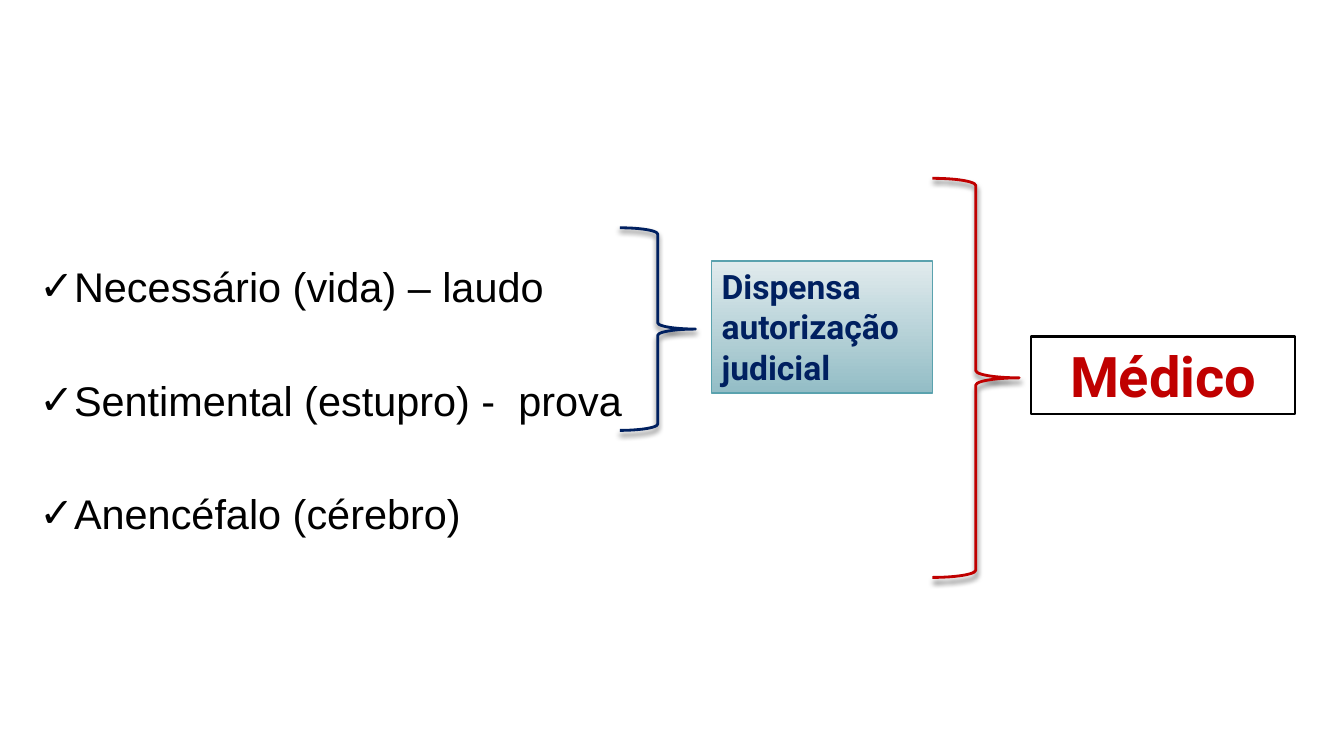
from dataclasses import dataclass

import pptx
import pptx.dml.color
import pptx.enum.shapes
import pptx.enum.text
import pptx.oxml
import pptx.oxml.ns
import pptx.util
from lxml import etree

Pt = pptx.util.Pt
RGB = pptx.dml.color.RGBColor.from_string
SHAPE = pptx.enum.shapes.MSO_SHAPE
ALIGN = pptx.enum.text.PP_ALIGN
ANCHOR = pptx.enum.text.MSO_ANCHOR
FIT = pptx.enum.text.MSO_AUTO_SIZE


@dataclass(frozen=True)
class Theme:
    navy: str = "002060"
    red: str = "C00000"
    black: str = "000000"
    white: str = "FFFFFF"
    teal: str = "5AA2AE"
    fade: tuple = ("E1EBED", "93BDC6")
    plain: str = "Arial"
    strong: str = "Roboto"
    list_size: float = 29.6
    note_size: float = 24
    role_size: float = 40


THEME = Theme()


def write(frame, lines, font, size, color, bold=False, align=ALIGN.LEFT,
          anchor=ANCHOR.TOP, leading=None, before=0, bullet=None, indent=0):
    """Fill a text frame with one paragraph per line."""
    frame.word_wrap = True
    frame.auto_size = FIT.NONE
    frame.vertical_anchor = anchor
    for i, line in enumerate(lines):
        para = frame.add_paragraph() if i else frame.paragraphs[0]
        para.alignment = align
        para.space_before = Pt(before)
        if leading:
            para.line_spacing = leading
        run = para.add_run()
        run.text = line
        run.font.name = font
        run.font.size = Pt(size)
        run.font.bold = bold
        run.font.color.rgb = RGB(color)
        if bullet:
            props = para._p.get_or_add_pPr()
            props.set("marL", str(Pt(indent)))
            props.set("indent", str(-Pt(indent)))
            mark = etree.SubElement(props, pptx.oxml.ns.qn("a:buChar"))
            mark.set("char", bullet)


def draw(slide, kind, box, color, width):
    """Add an outlined preset shape without a shadow."""
    shape = slide.shapes.add_shape(kind, *map(Pt, box))
    shape.shadow.inherit = False
    shape.line.color.rgb = RGB(color)
    shape.line.width = Pt(width)
    return shape


def brace(slide, box, color):
    shape = draw(slide, SHAPE.RIGHT_BRACE, box, color, 2)
    shape.fill.background()
    effects = shape._element.spPr.find(pptx.oxml.ns.qn("a:effectLst"))
    effects.append(pptx.oxml.parse_xml(
        f'<a:outerShdw {pptx.oxml.ns.nsdecls("a")} blurRad="{Pt(4)}" '
        f'dist="{Pt(3)}" dir="5400000" rotWithShape="0">'
        f'<a:srgbClr val="{THEME.black}"><a:alpha val="54000"/></a:srgbClr>'
        '</a:outerShdw>'))


def note(slide, box, lines):
    shape = draw(slide, SHAPE.RECTANGLE, box, THEME.teal, 1)
    shape.fill.gradient()
    shape.fill.gradient_angle = 270
    for i, stop in enumerate(shape.fill.gradient_stops):
        stop.position = i
        stop.color.rgb = RGB(THEME.fade[i])
    write(shape.text_frame, lines, THEME.strong, THEME.note_size,
          THEME.navy, bold=True)


def role(slide, box, name):
    shape = draw(slide, SHAPE.RECTANGLE, box, THEME.black, 1.5)
    shape.fill.solid()
    shape.fill.fore_color.rgb = RGB(THEME.white)
    write(shape.text_frame, [name], THEME.strong, THEME.role_size, THEME.red,
          bold=True, align=ALIGN.CENTER)


def cases(slide, box, lines):
    body = slide.placeholders[1]
    body.left, body.top, body.width, body.height = map(Pt, box)
    # Bring the list in front of the shapes
    slide.shapes._spTree.append(body._element)
    write(body.text_frame, lines, THEME.plain, THEME.list_size, THEME.black,
          leading=2.0, before=10, bullet="✓", indent=18)


def main():
    deck = pptx.Presentation()
    deck.slide_width, deck.slide_height = Pt(960), Pt(540)
    slide = deck.slides.add_slide(deck.slide_layouts[1])
    title = slide.shapes.title._element
    title.getparent().remove(title)

    brace(slide, (442.8, 162.7, 54, 144.7), THEME.navy)
    brace(slide, (666, 127.4, 62, 285.1), THEME.red)
    note(slide, (508.3, 186.5, 157.7, 94.3),
         ["Dispensa", "autorização", "judicial"])
    role(slide, (736.6, 240.4, 188.6, 55.5), "Médico")
    cases(slide, (20.9, 147.6, 459.4, 285.1),
          ["Necessário (vida) – laudo", "Sentimental (estupro) -  prova",
           "Anencéfalo (cérebro)"])
    deck.save("out.pptx")


if __name__ == "__main__":
    main()
